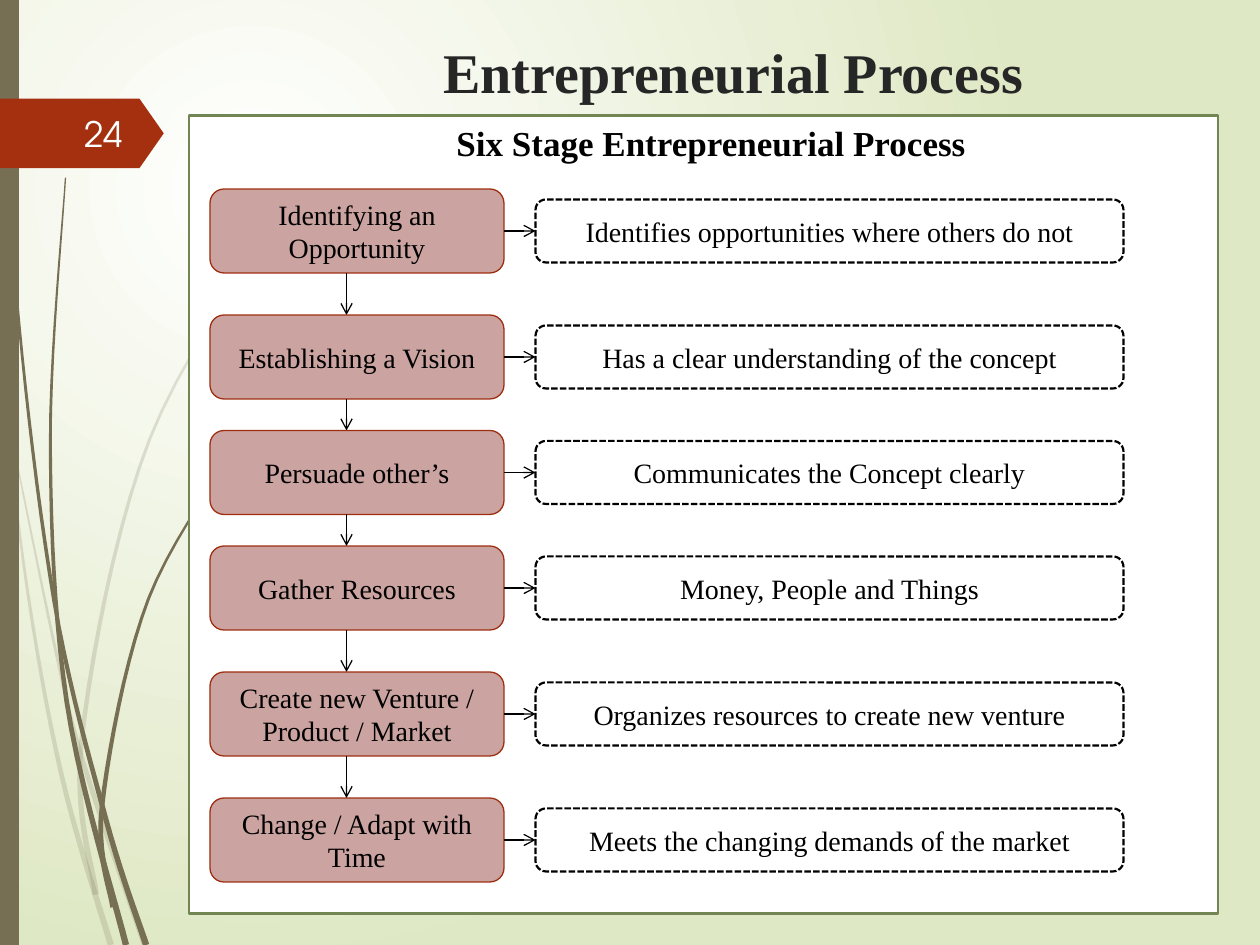
import math
import pptx
import pptx.util
import pptx.dml.color
import pptx.enum.dml
import pptx.enum.shapes
import pptx.enum.text
import pptx.oxml
import pptx.oxml.ns

TITLE = "Entrepreneurial Process"
HEAD = "Six Stage Entrepreneurial Process"
PAGE = "24"
STAGES = [
    ("Identifying an Opportunity", "Identifies opportunities where others do not"),
    ("Establishing a Vision", "Has a clear understanding of the concept"),
    ("Persuade other’s", "Communicates the Concept clearly"),
    ("Gather Resources", "Money, People and Things"),
    ("Create new Venture / Product / Market", "Organizes resources to create new venture"),
    ("Change / Adapt with Time", "Meets the changing demands of the market"),
]
GAPS = [4, 3, 3, 4, 4]

CELL = 1 / 12
PANEL = (18, 11, 98, 76)
STAGE_X, STAGE_W, STAGE_H = 20, 28, 8
CLAIM_X, CLAIM_W, CLAIM_H = 51, 56, 6
FIRST, DOWN_X = 18, 33

PALE_STEMS = [
    [(0, 2.9), (0.22, 4.7), (0.5, 6.2), (0.88, 7.5)],
    [(0.12, 3.6), (0.45, 5.2), (0.67, 6.08), (1.15, 7.5)],
    [(2.34, 1.53), (1.19, 3.48), (0.65, 5.85), (0.76, 7.1)],
]
DARK_STEMS = [
    [(0.02, 0), (0.13, 2.33), (0.43, 4.77), (0.84, 6.5), (1.16, 7.5)],
    [(0.52, 1.41), (0.4, 3.49), (0.53, 5.57), (1, 7.5)],
    [(1.95, 3.44), (1.18, 4.75), (0.81, 6.4), (0.9, 7.2)],
]
TIP, ROOT, STEPS = 0.01, 0.05, 10

INK, WHITE, EARTH, RUST = "000000", "FFFFFF", "766F54", "A53010"
SERIF, SANS = "Times New Roman", "TeX Gyre Adventor"
KIND = pptx.enum.shapes.MSO_SHAPE
ALIGN = pptx.enum.text.PP_ALIGN
ANCHOR = pptx.enum.text.MSO_ANCHOR
INCH = pptx.util.Inches
PT = pptx.util.Pt
qn = pptx.oxml.ns.qn


def hue(code):
    return pptx.dml.color.RGBColor.from_string(code)


def node(text):
    space = 'xmlns:a="http://schemas.openxmlformats.org/drawingml/2006/main"'
    return pptx.oxml.parse_xml(text.replace(" ", " " + space + " ", 1))


def grid(*cells):
    return [INCH(c * CELL) for c in cells]


def write(shape, text, size, code=INK, bold=False, face=SERIF,
          align=ALIGN.CENTER, anchor=ANCHOR.MIDDLE):
    frame = shape.text_frame
    frame.text = text
    frame.word_wrap = True
    frame.vertical_anchor = anchor
    para = frame.paragraphs[0]
    para.alignment = align
    font = para.runs[0].font
    font.name, font.size, font.bold = face, PT(size), bold
    font.color.rgb = hue(code)


def paint(shape, fill, line=None, width=0.75):
    shape.shadow.inherit = False
    shape.fill.solid()
    shape.fill.fore_color.rgb = hue(fill)
    if line:
        shape.line.color.rgb = hue(line)
        shape.line.width = PT(width)
    else:
        shape.line.fill.background()


def box(kind, cells, fill, line=None, width=0.75):
    shape = slide.shapes.add_shape(kind, *grid(*cells))
    paint(shape, fill, line, width)
    return shape


def blend(a, b, c, d, t):
    return (2 * b + (c - a) * t + (2 * a - 5 * b + 4 * c - d) * t ** 2
            + (3 * b - a - 3 * c + d) * t ** 3) / 2


def smooth(knots):
    ends = [knots[0]] + knots + [knots[-1]]
    curve = [tuple(blend(*axis, step / STEPS) for axis in zip(*ends[i:i + 4]))
             for i in range(len(knots) - 1) for step in range(STEPS)]
    return curve + [knots[-1]]


def grow(shapes, knots, alpha):
    curve = smooth(knots)
    last = len(curve) - 1
    left, right = [], []
    for i, (x, y) in enumerate(curve):
        before, after = curve[max(i - 1, 0)], curve[min(i + 1, last)]
        dx, dy = after[0] - before[0], after[1] - before[1]
        half = (TIP + (ROOT - TIP) * i / last) / 2 / math.hypot(dx, dy)
        left.append((INCH(x - dy * half), INCH(y + dx * half)))
        right.append((INCH(x + dy * half), INCH(y - dx * half)))
    edge = left + right[::-1]
    pen = shapes.build_freeform(*edge[0])
    pen.add_line_segments(edge[1:], close=True)
    blade = pen.convert_to_shape()
    paint(blade, EARTH)
    if alpha < 100:
        tint = blade._element.spPr.find(".//" + qn("a:srgbClr"))
        tint.append(node(f'<a:alpha val="{alpha * 1000}"/>'))


def arrow(*ends):
    link = slide.shapes.add_connector(pptx.enum.shapes.MSO_CONNECTOR.STRAIGHT, *grid(*ends))
    link.line.color.rgb = hue(INK)
    link.line.width = PT(0.75)
    link.line._get_or_add_ln().append(node('<a:tailEnd type="arrow"/>'))
    link._element.spPr.append(node("<a:effectLst />"))


deck = pptx.Presentation()
deck.slide_width, deck.slide_height = INCH(10), INCH(7.5)
slide = deck.slides.add_slide(deck.slide_layouts[5])

back = slide.background.fill
back.gradient()
for stop, code in zip(back.gradient_stops, (WHITE, "DFE8C4")):
    stop.color.rgb = hue(code)
grad = slide.element.find(".//" + qn("a:gradFill"))
grad.replace(grad.find(qn("a:lin")), node(
    '<a:path path="circle"><a:fillToRect l="20000" t="20000" r="80000" b="80000"/></a:path>'))

for stems, alpha in ((PALE_STEMS, 20), (DARK_STEMS, 100)):
    tuft = slide.shapes.add_group_shape()
    for knots in stems:
        grow(tuft.shapes, knots, alpha)
box(KIND.RECTANGLE, (0, 0, 1.8, 90), EARTH)
flag = box(KIND.PENTAGON, (0, 9.4, 15.6, 6.6), RUST)
flag.adjustments[0] = 0.35

title = slide.shapes.title
title.left, title.top, title.width, title.height = grid(26, 2.8, 87.75, 7.8)
write(title, TITLE, 32, "262626", True, anchor=ANCHOR.BOTTOM)

panel = box(KIND.RECTANGLE, PANEL, WHITE, "728653", 1.25)
write(panel, HEAD, 20, bold=True, anchor=ANCHOR.TOP)
panel.text_frame.margin_left = INCH(0.22)
panel.text_frame.margin_top = INCH(0.05)

page = slide.shapes.add_textbox(*grid(5.2, 10.3, 7.7, 4.8))
write(page, PAGE, 20, "FEFFFF", face=SANS, align=ALIGN.RIGHT)

top = FIRST
for (name, note), gap in zip(STAGES, GAPS + [0]):
    mid, base = top + STAGE_H / 2, top + STAGE_H
    stage = box(KIND.ROUNDED_RECTANGLE, (STAGE_X, top, STAGE_W, STAGE_H), "CBA3A0", "9E2E0F")
    write(stage, name, 16)
    claim = box(KIND.ROUNDED_RECTANGLE, (CLAIM_X, mid - CLAIM_H / 2, CLAIM_W, CLAIM_H),
                WHITE, INK, 1.25)
    claim.line.dash_style = pptx.enum.dml.MSO_LINE.SQUARE_DOT
    write(claim, note, 16)
    arrow(STAGE_X + STAGE_W, mid, CLAIM_X, mid)
    if gap:
        arrow(DOWN_X, base, DOWN_X, base + gap)
    top = base + gap

deck.save("out.pptx")
